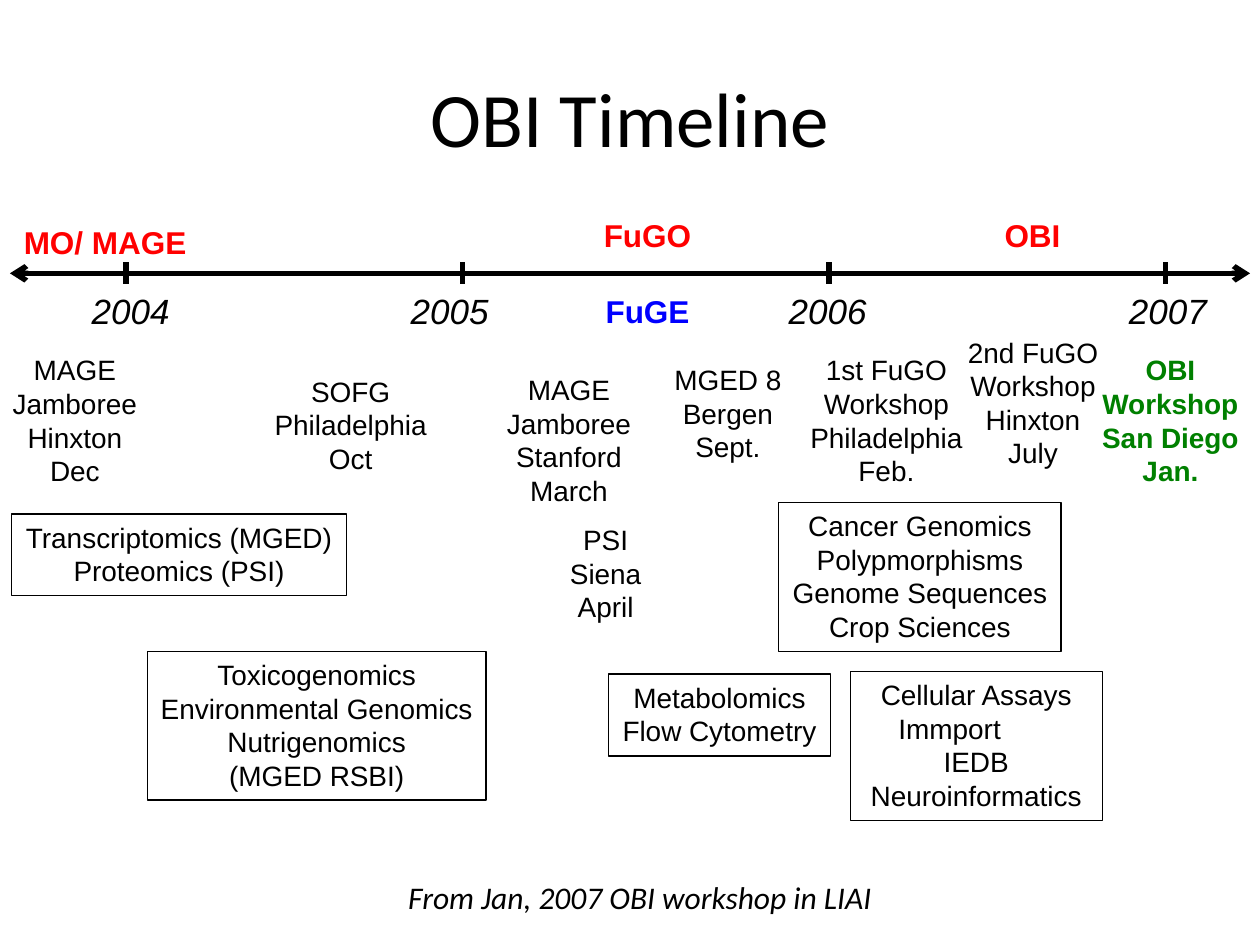
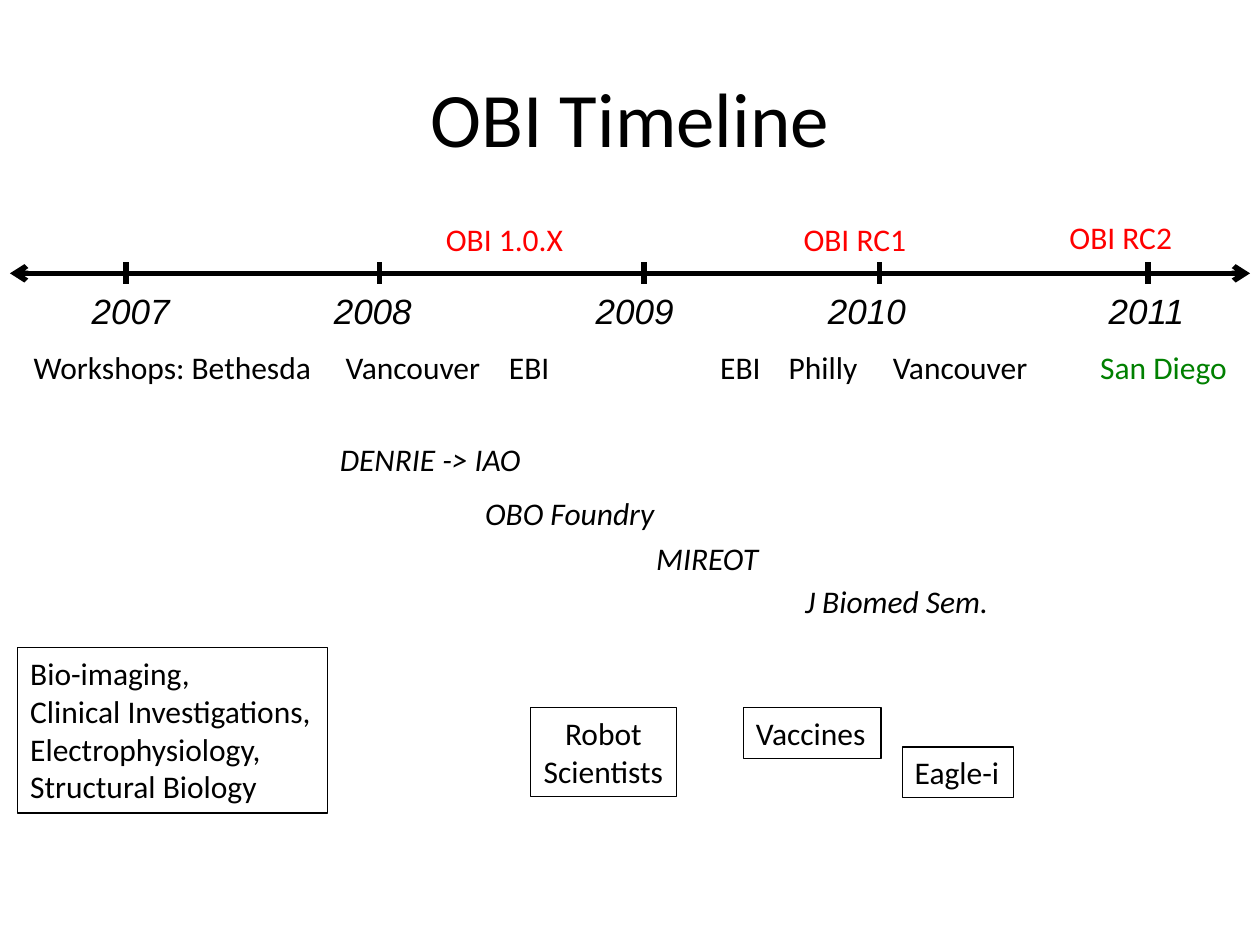
from lxml.etree import SubElement
from pptx import Presentation
from pptx.dml.color import RGBColor
from pptx.enum.shapes import MSO_CONNECTOR, MSO_SHAPE
from pptx.enum.text import MSO_ANCHOR, PP_ALIGN
from pptx.oxml.ns import qn
from pptx.util import Cm, Pt

BLACK, RED, BLUE, GREEN = "000000", "FF0000", "0000FF", "008000"
LEFT, CENTER = PP_ALIGN.LEFT, PP_ALIGN.CENTER
AXIS_TOP = 5.51


def add_text(page, place, lines, size=16, font="Arial", color=BLACK, bold=False,
             italic=False, align=CENTER, framed=False, tabs=()):
    """Write lines at place (cm); a line is a string or a list of (text, color) spans."""
    place = [Cm(length) for length in place]
    if framed:
        box = page.shapes.add_shape(MSO_SHAPE.RECTANGLE, *place)
        box.shadow.inherit = False
        box.fill.background()
        box.line.color.rgb = RGBColor.from_string(BLACK)
        box.line.width = Pt(0.75)
    else:
        box = page.shapes.add_textbox(*place)
    frame = box.text_frame
    frame.word_wrap = bool(tabs)
    frame.vertical_anchor = MSO_ANCHOR.TOP
    for number, line in enumerate(lines):
        para = frame.paragraphs[0] if number == 0 else frame.add_paragraph()
        para.alignment = align
        if tabs:
            tab_list = SubElement(para._p.get_or_add_pPr(), qn("a:tabLst"))
            for tab in tabs:
                SubElement(tab_list, qn("a:tab"), pos=str(Cm(tab)), algn="l")
        for text, span_color in [(line, color)] if isinstance(line, str) else line:
            span = para.add_run()
            span.text = text
            span.font.name = font
            span.font.size = Pt(size)
            span.font.bold = bold
            span.font.italic = italic
            span.font.color.rgb = RGBColor.from_string(span_color)
    return box


def add_line(page, start_x, start_y, end_x, end_y, arrows=False):
    line = page.shapes.add_connector(
        MSO_CONNECTOR.STRAIGHT, Cm(start_x), Cm(start_y), Cm(end_x), Cm(end_y))
    line.line.color.rgb = RGBColor.from_string(BLACK)
    line.line.width = Pt(3)
    if arrows:
        outline = line.line._get_or_add_ln()
        SubElement(outline, qn("a:headEnd"), type="arrow")
        SubElement(outline, qn("a:tailEnd"), type="arrow")
    SubElement(line._element.spPr, qn("a:effectLst"))


deck = Presentation()
deck.slide_width, deck.slide_height = Cm(25.4), Cm(19.05)

# Shared on both slides: title, axis, ticks and years (tick and tab positions in cm)
timelines = [
    ([2.54, 9.32, 16.71, 23.5], [1.17, 7.6, 15.22, 22.08], 2004),
    ([2.54, 7.65, 12.98, 17.73, 23.14], [1.17, 6.05, 11.33, 16.01, 21.67], 2007),
]
pages = []
for ticks, year_tabs, first_year in timelines:
    page = deck.slides.add_slide(deck.slide_layouts[5])
    pages.append(page)
    title = page.shapes.title
    title.left, title.top, title.width, title.height = Cm(1.27), Cm(0.76), Cm(22.86), Cm(3.18)
    title.text_frame.vertical_anchor = MSO_ANCHOR.MIDDLE
    para = title.text_frame.paragraphs[0]
    para.alignment = CENTER
    span = para.add_run()
    span.text = "OBI Timeline"
    span.font.name = "Calibri"
    span.font.size = Pt(44)
    span.font.color.rgb = RGBColor.from_string(BLACK)

    add_line(page, 0.2, AXIS_TOP, 25.2, AXIS_TOP, arrows=True)
    for tick in ticks:
        add_line(page, tick, AXIS_TOP - 0.22, tick, AXIS_TOP + 0.22)
    years = "".join(f"\t{first_year + step}" for step in range(len(ticks)))
    add_text(page, (0.43, 5.72, 24.97, 1.12), [years], size=20, italic=True,
             align=LEFT, tabs=year_tabs)

early, late = pages

# 2004 to 2007: project names along the axis
for left, top, width, name, color in [
    (0.23, 4.37, 3.78, "MO/ MAGE", RED),
    (11.91, 4.24, 2.29, "FuGO", RED),
    (11.91, 5.77, 2.29, "FuGE", BLUE),
    (19.99, 4.24, 1.65, "OBI", RED),
]:
    add_text(early, (left, top, width, 1.02), [name], size=18, color=color, bold=True)

# Meetings
for left, top, width, lines in [
    (0, 6.99, 3.02, ["MAGE", "Jamboree", "Hinxton", "Dec"]),
    (5.28, 7.42, 3.58, ["SOFG", "Philadelphia", "Oct"]),
    (9.96, 7.39, 3.02, ["MAGE", "Jamboree", "Stanford", "March"]),
    (11.23, 10.41, 1.96, ["PSI", "Siena", "April"]),
    (13.34, 7.19, 2.67, ["MGED 8", "Bergen", "Sept."]),
    (16.08, 6.99, 3.58, ["1st FuGO", "Workshop", "Philadelphia", "Feb."]),
    (19.25, 6.63, 3.15, ["2nd FuGO", "Workshop", "Hinxton", "July"]),
]:
    add_text(early, (left, top, width, 0.25 + 0.68 * len(lines)), lines)
add_text(early, (21.79, 6.99, 3.61, 2.97), ["OBI", "Workshop", "San Diego", "Jan."],
         color=GREEN, bold=True)

# Communities
for left, top, width, lines in [
    (0.23, 10.36, 6.76, ["Transcriptomics (MGED)", "Proteomics (PSI)"]),
    (2.97, 13.13, 6.83,
     ["Toxicogenomics", "Environmental Genomics", "Nutrigenomics", "(MGED RSBI)"]),
    (12.27, 13.59, 4.47, ["Metabolomics", "Flow Cytometry"]),
    (15.7, 10.13, 5.69,
     ["Cancer Genomics", "Polypmorphisms", "Genome Sequences", "Crop Sciences"]),
]:
    add_text(early, (left, top, width, 0.3 + 0.675 * len(lines)), lines, framed=True)

# Every line states its right margin, since an unstated one follows the line before
assays = add_text(early, (17.15, 13.54, 5.08, 3),
                  ["Cellular Assays", "Immport", "IEDB", "Neuroinformatics"], framed=True)
assays.text_frame.word_wrap = True
for para, right_margin in zip(assays.text_frame.paragraphs, [0.02, 1.09, 0.02, 0.02]):
    para._p.get_or_add_pPr().set("marR", str(Cm(right_margin)))

# Source line
add_text(early, (7.98, 17.58, 10.11, 1.02), ["From Jan, 2007 OBI workshop in LIAI"],
         size=18, font="Calibri", italic=True, align=LEFT)

# 2007 to 2011: releases
for left, top, width, release in [
    (8.74, 4.32, 2.9, "OBI 1.0.X"),
    (15.95, 4.32, 2.59, "OBI RC1"),
    (21.31, 4.27, 2.59, "OBI RC2"),
]:
    add_text(late, (left, top, width, 1.02), [release], size=18, font="Calibri",
             color=RED, align=LEFT)

# Workshops
workshops = "Workshops: Bethesda\tVancouver\tEBI\tEBI\tPhilly\tVancouver\t"
add_text(late, (0.43, 6.9, 24.77, 1.8), [[(workshops, BLACK), ("San Diego", GREEN)]],
         size=18, font="Calibri", align=LEFT, tabs=[6.29, 9.58, 13.84, 15.22, 17.32, 21.5])

# Related efforts
for left, top, width, effort in [
    (6.6, 8.74, 4.34, "DENRIE -> IAO"),
    (9.53, 9.83, 4.11, "OBO Foundry"),
    (12.98, 10.74, 2.74, "MIREOT"),
    (15.98, 11.61, 4.39, "J Biomed Sem."),
]:
    add_text(late, (left, top, width, 1.02), [effort], size=18, font="Calibri",
             italic=True, align=LEFT)

# New communities
for left, top, width, align, lines in [
    (0.36, 13.06, 6.25, LEFT, ["Bio-imaging,", "Clinical Investigations,",
                               "Electrophysiology,", "Structural Biology"]),
    (10.69, 14.27, 2.95, CENTER, ["Robot", "Scientists"]),
    (14.99, 14.27, 2.77, LEFT, ["Vaccines"]),
    (18.19, 15.06, 2.24, LEFT, ["Eagle-i"]),
]:
    add_text(late, (left, top, width, 0.25 + 0.77 * len(lines)), lines, size=18,
             font="Calibri", align=align, framed=True)

deck.save("out.pptx")
